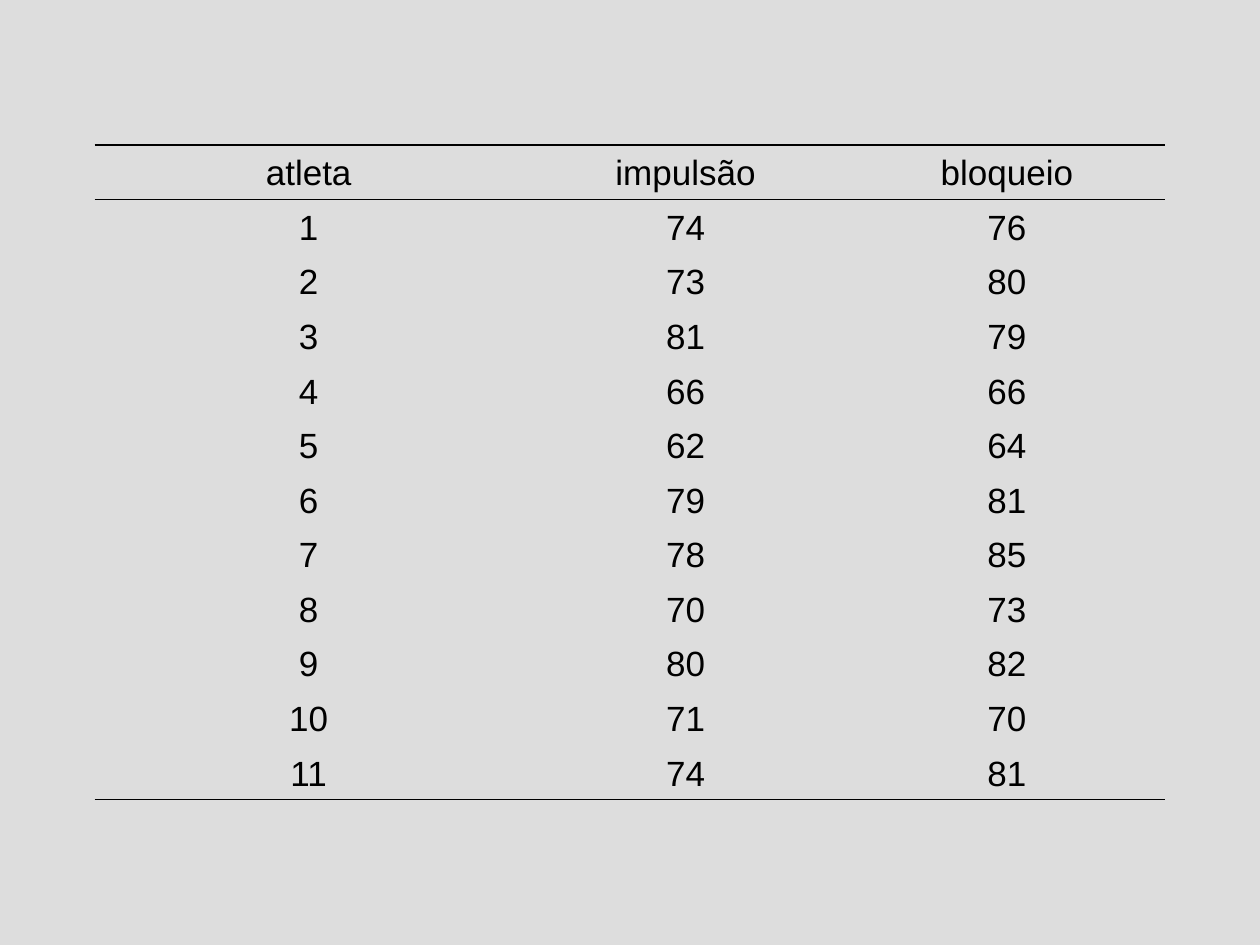
"""Build a slide with a ruled table of athletes' jump and block scores."""
from dataclasses import astuple, dataclass

import lxml.etree
import pptx
import pptx.dml.color
import pptx.enum.text
import pptx.oxml.ns
import pptx.table
import pptx.util

Pt = pptx.util.Pt
qn = pptx.oxml.ns.qn
BACKGROUND, INK = "DDDDDD", "000000"
COLUMN_WIDTHS = (244.8, 186, 181.2)
ROW_HEIGHT = 31.2


@dataclass(frozen=True)
class AthleteRow:
    athlete: str
    jump: str
    block: str


HEADING = AthleteRow("atleta", "impulsão", "bloqueio")
JUMPS = (74, 73, 81, 66, 62, 79, 78, 70, 80, 71, 74)
BLOCKS = (76, 80, 79, 66, 64, 81, 85, 73, 82, 70, 81)
SCORES = [
    AthleteRow(str(number), str(jump), str(block))
    for number, (jump, block) in enumerate(zip(JUMPS, BLOCKS), start=1)
]


def paint(color_format, hex_color: str) -> None:
    color_format.rgb = pptx.dml.color.RGBColor.from_string(hex_color)


def rule_cell(cell: pptx.table._Cell, ruled_sides: set[str]) -> None:
    properties = cell._tc.get_or_add_tcPr()
    for side in ("lnL", "lnR", "lnT", "lnB"):
        rule = lxml.etree.SubElement(properties, qn(f"a:{side}"))
        if side in ruled_sides:
            rule.set("w", str(Pt(1)))
            ink = lxml.etree.SubElement(rule, qn("a:solidFill"))
            lxml.etree.SubElement(ink, qn("a:srgbClr"), val=INK)
        else:
            rule.set("w", "0")
            lxml.etree.SubElement(rule, qn("a:noFill"))
    cell.fill.background()


def write_cell(cell: pptx.table._Cell, wording: str) -> None:
    cell.vertical_anchor = pptx.enum.text.MSO_ANCHOR.BOTTOM
    paragraph = cell.text_frame.paragraphs[0]
    paragraph.alignment = pptx.enum.text.PP_ALIGN.CENTER
    run = paragraph.add_run()
    run.text = wording
    run.font.name = "Arial"
    run.font.size = Pt(20)
    run.font.bold = False
    paint(run.font.color, INK)


def draw_scores(slide, rows: list[AthleteRow]) -> None:
    score_table = slide.shapes.add_table(
        len(rows), len(COLUMN_WIDTHS), Pt(54), Pt(82.8),
        Pt(sum(COLUMN_WIDTHS)), Pt(ROW_HEIGHT * len(rows)),
    ).table
    score_table.first_row = score_table.horz_banding = False
    for column, width in zip(score_table.columns, COLUMN_WIDTHS):
        column.width = Pt(width)
    for index, row in enumerate(rows):
        score_table.rows[index].height = Pt(ROW_HEIGHT)
        ruled_sides = set()
        if index in (0, 1):
            ruled_sides.add("lnT")
        if index in (0, len(rows) - 1):
            ruled_sides.add("lnB")
        for cell, wording in zip(score_table.rows[index].cells, astuple(row)):
            rule_cell(cell, ruled_sides)
            write_cell(cell, wording)


def main() -> None:
    presentation = pptx.Presentation()
    presentation.slide_width, presentation.slide_height = Pt(720), Pt(540)
    slide = presentation.slides.add_slide(presentation.slide_layouts[6])
    slide.background.fill.solid()
    paint(slide.background.fill.fore_color, BACKGROUND)
    draw_scores(slide, [HEADING, *SCORES])
    presentation.save("out.pptx")


if __name__ == "__main__":
    main()
